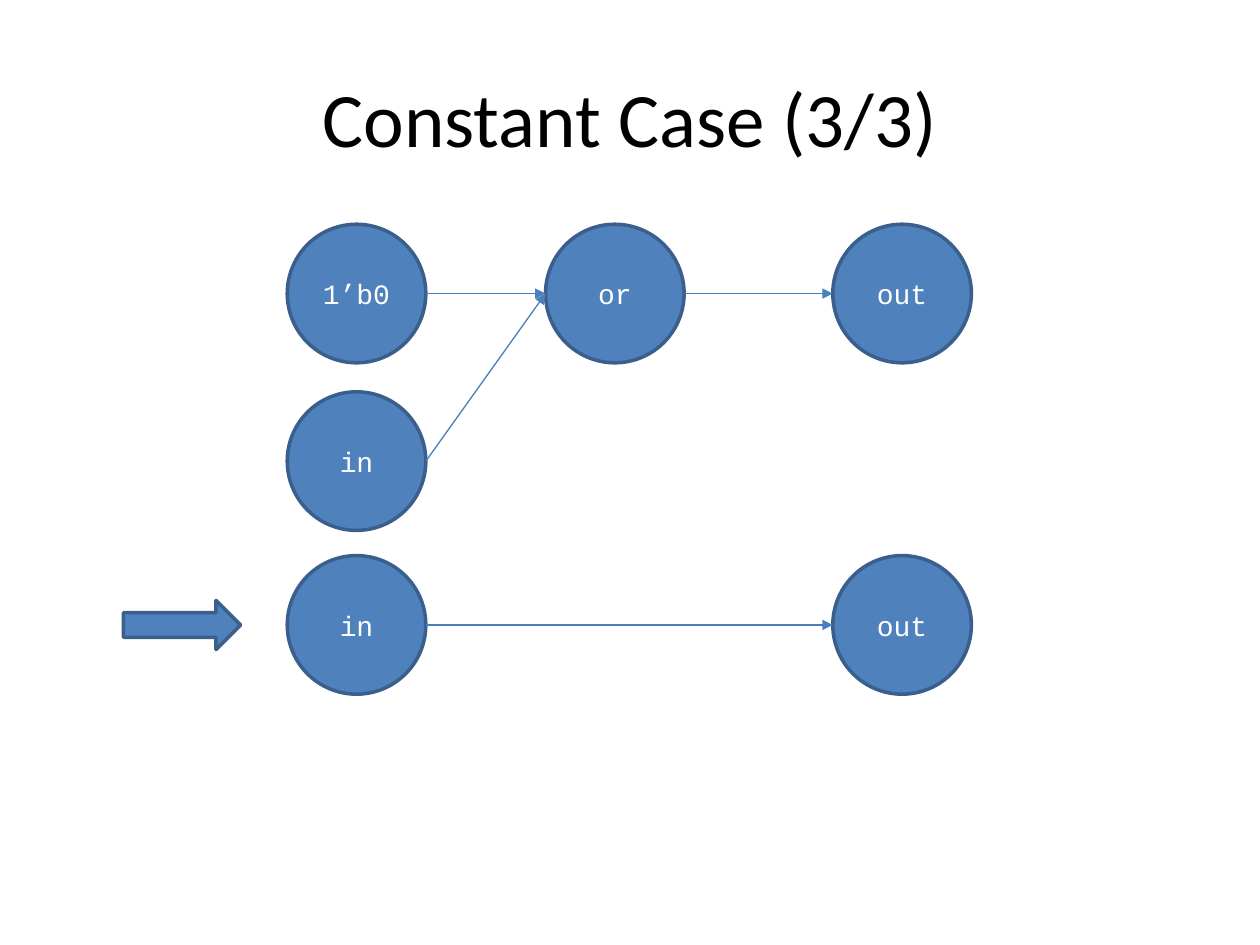
from pptx import Presentation, util as u
from pptx.dml.color import RGBColor
from pptx.enum import shapes, text
from pptx.oxml.ns import qn
from lxml import etree

THEME = {
    "fill": RGBColor.from_string("4F81BD"),
    "outline": RGBColor.from_string("3A5F8C"),
    "edge": RGBColor.from_string("4B7EBC"),
    "title": ("Calibri", u.Pt(44), RGBColor.from_string("000000")),
    "label": ("Courier New", u.Pt(16), RGBColor.from_string("FFFFFF")),
    "outline_width": u.Pt(2),
    "edge_width": u.Pt(0.75),
}

# Left edges of the columns and top edges of the rows of the graph
COLUMNS = {"source": u.Inches(2.28), "gate": u.Inches(4.33), "sink": u.Inches(6.61)}
ROWS = {"constant": u.Inches(1.78), "input": u.Inches(3.11), "result": u.Inches(4.41)}
DIAMETER = u.Inches(1.1)

NODES = [
    ("source", "constant", "1’b0"),
    ("gate", "constant", "or"),
    ("sink", "constant", "out"),
    ("source", "input", "in"),
    ("source", "result", "in"),
    ("sink", "result", "out"),
]
EDGES = [
    (("source", "constant"), ("gate", "constant")),
    (("gate", "constant"), ("sink", "constant")),
    (("source", "input"), ("gate", "constant")),
    (("source", "result"), ("sink", "result")),
]


def write_centred(holder, words, style):
    frame = holder.text_frame
    frame.word_wrap = True
    frame.vertical_anchor = text.MSO_ANCHOR.MIDDLE
    frame.margin_left = frame.margin_right = 0
    paragraph = frame.paragraphs[0]
    paragraph.alignment = text.PP_ALIGN.CENTER
    run = paragraph.add_run()
    run.text = words
    run.font.name, run.font.size, run.font.color.rgb = THEME[style]


def add_block(preset, left, top, width, height):
    """Add a preset shape in the fill and outline of the graph."""
    block = slide.shapes.add_shape(preset, left, top, width, height)
    block.shadow.inherit = False
    block.fill.solid()
    block.fill.fore_color.rgb = THEME["fill"]
    block.line.color.rgb = THEME["outline"]
    block.line.width = THEME["outline_width"]
    return block


deck = Presentation()
deck.slide_width, deck.slide_height = u.Inches(10), u.Inches(7.5)
slide = deck.slides.add_slide(deck.slide_layouts[6])

title = slide.shapes.add_textbox(
    int(deck.slide_width * 0.05), int(deck.slide_height * 0.04),
    int(deck.slide_width * 0.9), u.Inches(1.25))
write_centred(title, "Constant Case (3/3)", "title")

for column, row, label in NODES:
    node = add_block(shapes.MSO_SHAPE.OVAL, COLUMNS[column], ROWS[row], DIAMETER, DIAMETER)
    write_centred(node, label, "label")

radius = DIAMETER // 2
for (from_column, from_row), (to_column, to_row) in EDGES:
    edge = slide.shapes.add_connector(
        shapes.MSO_CONNECTOR.STRAIGHT,
        COLUMNS[from_column] + DIAMETER, ROWS[from_row] + radius,
        COLUMNS[to_column], ROWS[to_row] + radius)
    edge.line.color.rgb = THEME["edge"]
    edge.line.width = THEME["edge_width"]
    etree.SubElement(edge.line._get_or_add_ln(), qn("a:tailEnd"), type="triangle")
    etree.SubElement(edge._element.spPr, qn("a:effectLst"))

# The down arrow is turned to point right, level with the result row
arrow_width, arrow_length = u.Inches(0.39), u.Inches(0.93)
result_arrow = add_block(
    shapes.MSO_SHAPE.DOWN_ARROW, u.Inches(1.25),
    ROWS["result"] + radius - arrow_length // 2, arrow_width, arrow_length)
result_arrow.rotation = 270

deck.save("out.pptx")
